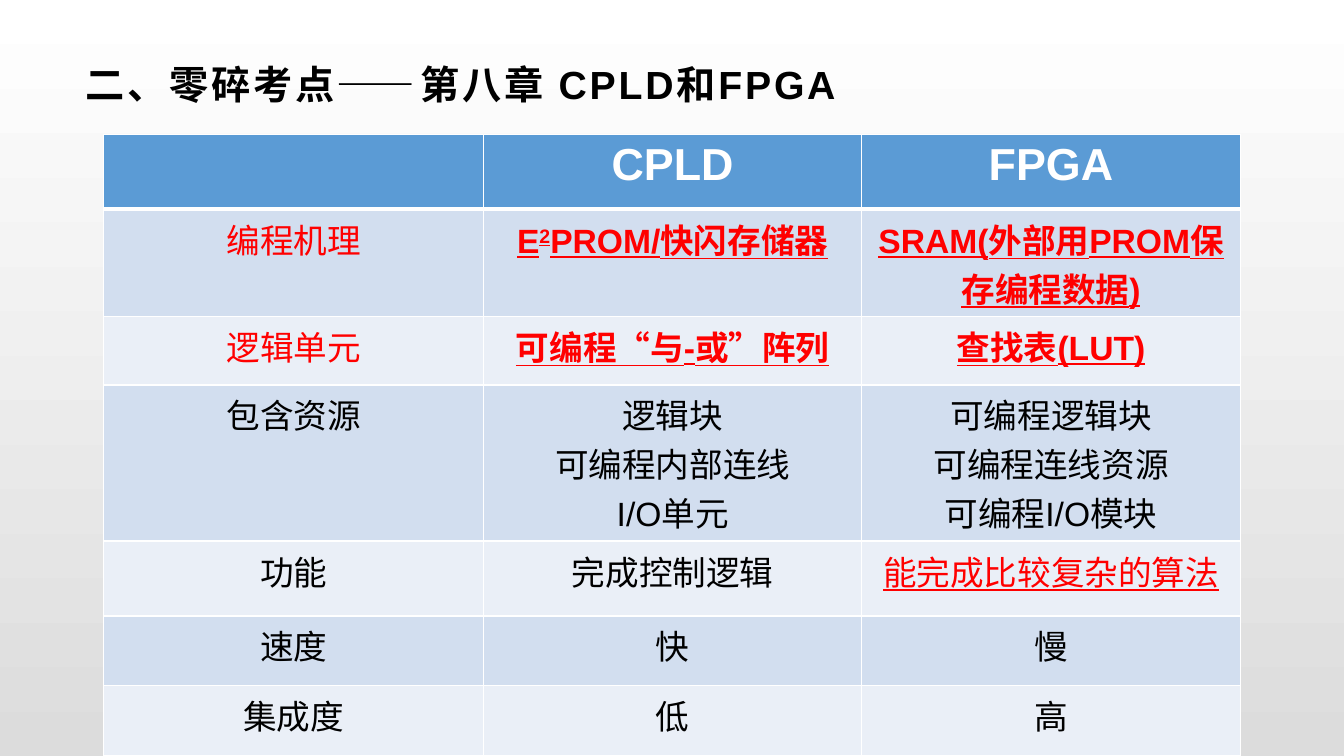
from lxml import etree
from pptx import Presentation
from pptx.dml.color import RGBColor
from pptx.enum import text
from pptx.oxml import ns
from pptx.util import Pt

FONT = "Arial"
COLORS = {
    "white": "FFFFFF",
    "black": "000000",
    "red": "FF0000",
    "header": "5B9BD5",
    "odd_row": "D2DEEF",
    "even_row": "EAEFF7",
    "background_end": "DCDCDC",
}
COLUMN_WIDTHS = [271.5, 270, 270.5]
ROW_HEIGHTS = [53.5, 76.5, 49, 111.5, 53.5, 50, 50]

# Style name: (size, colour, bold, underline)
STYLES = {
    "header": (32, "white", True, False),
    "plain": (24, "black", False, False),
    "topic": (24, "red", False, False),
    "key": (24, "red", True, True),
    "marked": (24, "red", False, True),
}
# Each row: the texts of its cells, then their styles; ^ encloses a superscript
ROWS = [
    (["", "CPLD", "FPGA"], ["header"] * 3),
    (["编程机理", "E^2^PROM/快闪存储器", "SRAM(外部用PROM保存编程数据)"],
     ["topic", "key", "key"]),
    (["逻辑单元", "可编程“与-或”阵列", "查找表(LUT)"], ["topic", "key", "key"]),
    (["包含资源", "逻辑块\n可编程内部连线\nI/O单元",
      "可编程逻辑块\n可编程连线资源\n可编程I/O模块"], ["plain"] * 3),
    (["功能", "完成控制逻辑", "能完成比较复杂的算法"], ["plain", "plain", "marked"]),
    (["速度", "快", "慢"], ["plain"] * 3),
    (["集成度", "低", "高"], ["plain"] * 3),
]


def rgb(name):
    return RGBColor.from_string(COLORS[name])


def set_font(font, size, color, bold, underline=False):
    font.name = FONT
    font.size = Pt(size)
    font.bold = bold
    font.underline = underline
    font.color.rgb = rgb(color)


def set_background(slide):
    fill = slide.background.fill
    fill.gradient()
    fill.gradient_angle = 270
    for stop, position, color in zip(fill.gradient_stops, (0, 1), ("white", "background_end")):
        stop.position = position
        stop.color.rgb = rgb(color)


def add_title(slide, left, top, width, height):
    frame = slide.shapes.add_textbox(Pt(left), Pt(top), Pt(width), Pt(height)).text_frame
    frame.word_wrap = True
    frame.vertical_anchor = text.MSO_ANCHOR.MIDDLE
    frame.margin_left, frame.margin_right = Pt(8), Pt(6)
    frame.margin_top = frame.margin_bottom = Pt(3)
    paragraph = frame.paragraphs[0]
    run = paragraph.add_run()
    run.text = "二、零碎考点——第八章 CPLD和FPGA"
    run._r.get_or_add_rPr().set("spc", "200")
    set_font(paragraph.font, 28, "black", True)


def set_borders(cell, widths):
    """Draw white borders; widths maps L, R, T and B to points."""
    properties = cell._tc.get_or_add_tcPr()
    for side, width in widths.items():
        line = etree.SubElement(properties, ns.qn(f"a:ln{side}"), w=str(Pt(width)))
        fill = etree.SubElement(line, ns.qn("a:solidFill"))
        etree.SubElement(fill, ns.qn("a:srgbClr"), val=COLORS["white"])


def fill_cell(cell, content, style):
    frame = cell.text_frame
    for index, line in enumerate(content.split("\n")):
        paragraph = frame.add_paragraph() if index else frame.paragraphs[0]
        paragraph.alignment = text.PP_ALIGN.CENTER
        for part, piece in enumerate(line.split("^")):
            run = paragraph.add_run()
            run.text = piece
            if part % 2:
                run._r.get_or_add_rPr().set("baseline", "30000")
        set_font(paragraph.font, *STYLES[style])


def add_comparison_table(slide, left, top):
    table = slide.shapes.add_table(
        len(ROWS), len(COLUMN_WIDTHS), Pt(left), Pt(top),
        Pt(sum(COLUMN_WIDTHS)), Pt(sum(ROW_HEIGHTS))).table
    for column, width in zip(table.columns, COLUMN_WIDTHS):
        column.width = Pt(width)
    for index, (contents, styles) in enumerate(ROWS):
        table.rows[index].height = Pt(ROW_HEIGHTS[index])
        color = "header" if index == 0 else "odd_row" if index % 2 else "even_row"
        widths = {"L": 1, "R": 1, "T": 3 if index == 1 else 1, "B": 3 if index == 0 else 1}
        for cell, content, style in zip(table.rows[index].cells, contents, styles):
            set_borders(cell, widths)
            cell.fill.solid()
            cell.fill.fore_color.rgb = rgb(color)
            if content:
                fill_cell(cell, content, style)


def main():
    presentation = Presentation()
    presentation.slide_width, presentation.slide_height = Pt(960), Pt(540)
    slide = presentation.slides.add_slide(presentation.slide_layouts[6])
    set_background(slide)
    add_title(slide, 53, 34.5, 854.5, 51)
    add_comparison_table(slide, 74, 96)
    presentation.save("out.pptx")


if __name__ == "__main__":
    main()
